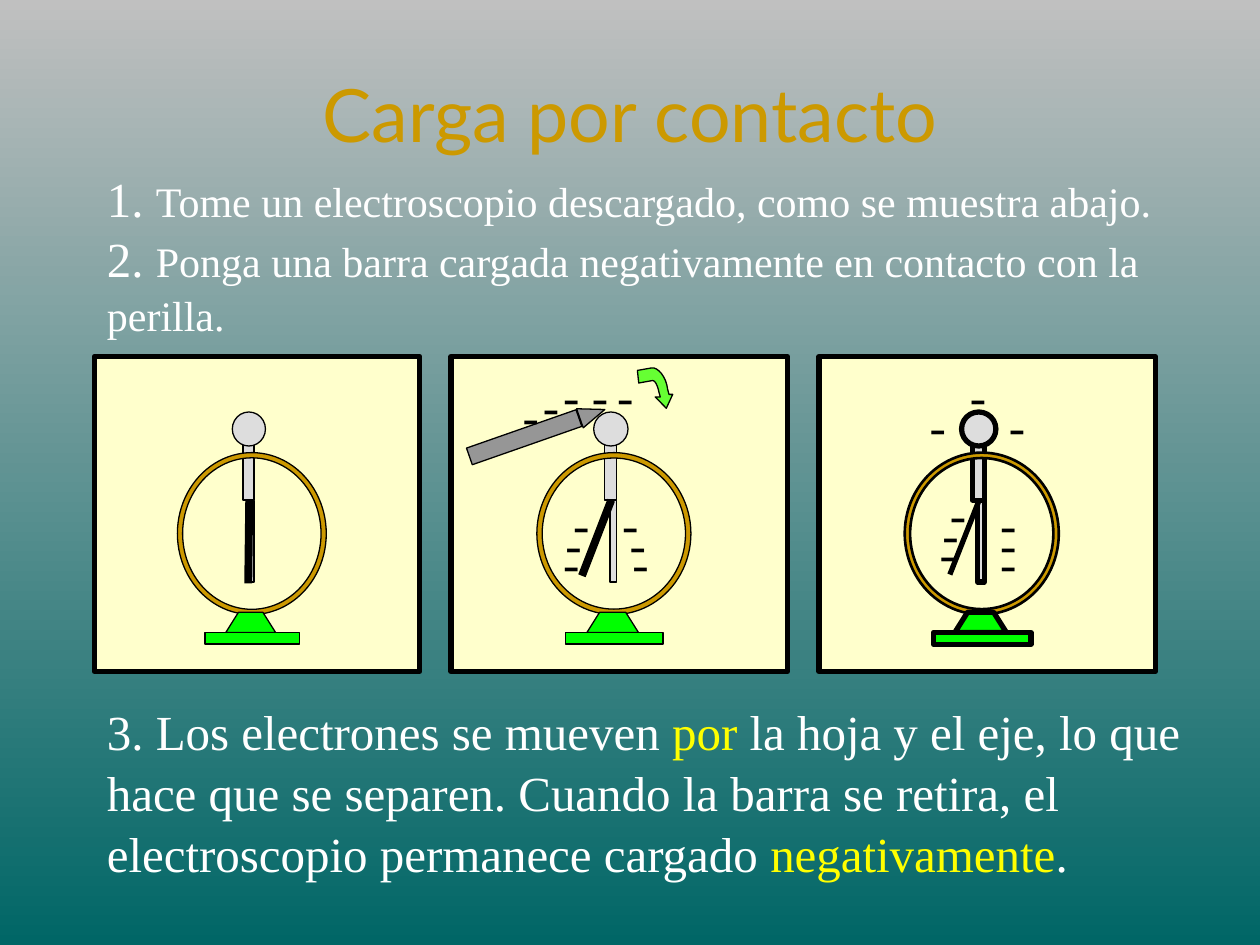
from lxml.etree import SubElement
from pptx import Presentation
from pptx.dml.color import RGBColor
from pptx.enum.shapes import MSO_CONNECTOR, MSO_SHAPE
from pptx.enum.text import MSO_ANCHOR, MSO_AUTO_SIZE, PP_ALIGN
from pptx.oxml.ns import qn
from pptx.util import Inches, Pt

COLORS = {
    "sky": "C0C0C0", "sea": "006666", "gold": "CC9900", "white": "FFFFFF",
    "yellow": "FFFF00", "black": "000000", "cream": "FFFFCC", "metal": "DDDDDD",
    "rod": "969696", "green": "00FF00", "lime": "66FF33",
}
SLIDE_FRAME = (0, 0, 10, 7.5)
PANEL_TOP, PANEL_HEIGHT = 2.83, 2.5
GRID = 100


def color(name):
    return RGBColor.from_string(COLORS[name])


def add_run(paragraph, text, size=28, font="Times New Roman", ink="white"):
    run = paragraph.add_run()
    run.text = text
    run.font.size = Pt(size)
    run.font.name = font
    run.font.color.rgb = color(ink)


def bezier(start, first, second, end, steps=8):
    for step in range(1, steps + 1):
        t = step / steps
        weights = ((1 - t) ** 3, 3 * t * (1 - t) ** 2, 3 * t * t * (1 - t), t ** 3)
        yield tuple(
            sum(weight * point[axis] for weight, point in zip(weights, (start, first, second, end)))
            for axis in (0, 1)
        )


class Canvas:
    def __init__(self, slide):
        self.slide = slide
        self.shapes = slide.shapes
        self.frame = SLIDE_FRAME
        self.weight = 0.75

    def enter(self, frame, weight):
        self.shapes = self.slide.shapes.add_group_shape().shapes
        self.frame = frame
        self.weight = weight

    def leave(self):
        self.shapes = self.slide.shapes
        self.frame = SLIDE_FRAME

    def point(self, column, row):
        left, top, width, height = self.frame
        return Inches(left + width * column / GRID), Inches(top + height * row / GRID)

    def area(self, column, row, columns, rows):
        width, height = self.frame[2:]
        return (*self.point(column, row), Inches(width * columns / GRID), Inches(height * rows / GRID))

    def background(self, top, bottom):
        fill = self.slide.background.fill
        fill.gradient()
        fill.gradient_angle = 270
        for stop, name in zip(fill.gradient_stops, (top, bottom)):
            stop.color.rgb = color(name)

    def paint(self, shape, fill, weight=None):
        shape.shadow.inherit = False
        shape.fill.solid()
        shape.fill.fore_color.rgb = color(fill)
        shape.line.color.rgb = color("black")
        shape.line.width = Pt(weight or self.weight)

    def title(self, text, *cells):
        shape = self.slide.shapes.title
        shape.left, shape.top, shape.width, shape.height = self.area(*cells)
        shape.text_frame.vertical_anchor = MSO_ANCHOR.MIDDLE
        paragraph = shape.text_frame.paragraphs[0]
        paragraph.alignment = PP_ALIGN.CENTER
        paragraph.line_spacing = 0.85
        add_run(paragraph, text, size=42, font="Lato", ink="gold")

    def text(self, runs, *cells, spacing=1.04):
        shape = self.shapes.add_textbox(*self.area(*cells))
        shape.text_frame.word_wrap = True
        shape.text_frame.auto_size = MSO_AUTO_SIZE.SHAPE_TO_FIT_TEXT
        paragraph = shape.text_frame.paragraphs[0]
        paragraph.line_spacing = spacing
        for words, style in runs:
            add_run(paragraph, words, **style)

    def shape(self, kind, fill, *cells, weight=None, rotation=0, adjust=None):
        shape = self.shapes.add_shape(kind, *self.area(*cells))
        shape.rotation = rotation
        if adjust is not None:
            shape.adjustments[0] = adjust
        self.paint(shape, fill, weight)

    def line(self, start, end, weight):
        connector = self.shapes.add_connector(
            MSO_CONNECTOR.STRAIGHT, *self.point(*start), *self.point(*end))
        connector.line.color.rgb = color("black")
        connector.line.width = Pt(weight)
        SubElement(connector._element.spPr, qn("a:effectLst"))

    def outline(self, points, fill):
        start, *others = [self.point(*point) for point in points]
        builder = self.shapes.build_freeform(*start)
        builder.add_line_segments(others, close=True)
        self.paint(builder.convert_to_shape(), fill)

    def electroscope(self, leaf_end, leaf_weight, ring_weight):
        self.shape(MSO_SHAPE.RECTANGLE, "cream", 0, 0, GRID, GRID, weight=3)
        self.shape(MSO_SHAPE.RECTANGLE, "metal", 45.7, 24, 3.4, 21.6)
        self.shape(MSO_SHAPE.OVAL, "metal", 42.4, 17.6, 10.2, 10.8)
        self.shape(MSO_SHAPE.DONUT, "gold", 25.5, 30.5, 45.8, 51.4,
                   weight=ring_weight, adjust=0.035)
        self.shape(MSO_SHAPE.RECTANGLE, "metal", 47.2, 45.6, 1.9, 26)
        self.shape(MSO_SHAPE.TRAPEZOID, "green", 40.4, 81.2, 15.3, 6.4, adjust=0.63)
        self.shape(MSO_SHAPE.RECTANGLE, "green", 34, 87.6, 29, 3.7)
        self.line((47.6, 45.6), leaf_end, leaf_weight)

    def charges(self, places):
        for column, row in places:
            self.text([("-", {"ink": "black"})], column, row, 14.6, 22.8)

    def charged_rod(self):
        self.shape(MSO_SHAPE.RECTANGLE, "rod", 4.5, 22.8, 34.5, 5.6, rotation=-19.3)
        self.shape(MSO_SHAPE.ISOSCELES_TRIANGLE, "rod", 39, 14, 6, 8.4, rotation=70.7)

    def curved_arrow(self):
        outer = bezier((64.4, 10.4), (64, 6.4), (61.4, 3.2), (59.6, 3.6))
        inner = bezier((59.9, 7.6), (60.7, 7.6), (61.4, 9.2), (61.8, 11.2))
        self.outline(
            [(64, 16.4), (65.9, 12), (64.8, 12), (64.4, 10.4), *outer,
             (55.4, 4.4), (55.8, 8.4), (59.9, 7.6), *inner, (62.2, 12.8), (60.7, 12.8)],
            "lime")


PANELS = [
    {"left": 0.75, "width": 2.58, "weight": 0.75, "ring": 0.75,
     "leaf": (47.3, 72), "leaf_weight": 4.5, "charges": []},
    {"left": 3.58, "width": 2.67, "weight": 0.75, "ring": 0.75,
     "leaf": (38.9, 69.6), "leaf_weight": 4.5, "rod": True,
     "charges": [(32.6, 40.8), (30.3, 47.2), (29.6, 53.2),
                 (47.2, 40.8), (49.4, 47.2), (50.2, 53.2),
                 (17.6, 6.4), (23.6, 3.2), (29.6, 0), (38.2, 0), (45.7, 0)]},
    {"left": 6.5, "width": 2.67, "weight": 3, "ring": 1.5,
     "leaf": (38.9, 69.2), "leaf_weight": 3,
     "charges": [(35.2, 37.6), (33, 44), (32.2, 50),
                 (50.2, 40.8), (50.2, 47.2), (50.2, 53.2),
                 (29.2, 9.6), (41.2, 0), (52.8, 9.6)]},
]

STEPS = [
    ((7.5, 16.93, 89.2, 7.6), [
        ("1. ", {}),
        ("Tome un electroscopio descargado, como se muestra abajo.", {"size": 24})]),
    ((7.5, 23.33, 92.5, 12.93), [
        ("2. ", {}),
        ("Ponga una barra cargada negativamente en contacto con la perilla.", {"size": 24})]),
    ((7.5, 73.33, 92.5, 20), [
        ("3. Los electrones se mueven ", {}),
        ("por", {"ink": "yellow"}),
        (" la hoja y el eje, lo que hace que se separen. Cuando la barra se retira, "
         "el electroscopio permanece cargado ", {}),
        ("negativamente", {"ink": "yellow"}),
        (".", {})]),
]


def main():
    presentation = Presentation()
    presentation.slide_width, presentation.slide_height = Inches(10), Inches(7.5)
    canvas = Canvas(presentation.slides.add_slide(presentation.slide_layouts[5]))
    canvas.background("sky", "sea")
    canvas.title("Carga por contacto", 10, 4.4, 80, 16.67)
    for cells, runs in STEPS:
        canvas.text(runs, *cells)
    for panel in PANELS:
        canvas.enter((panel["left"], PANEL_TOP, panel["width"], PANEL_HEIGHT), panel["weight"])
        canvas.electroscope(panel["leaf"], panel["leaf_weight"], panel["ring"])
        if panel.get("rod"):
            canvas.charged_rod()
            canvas.curved_arrow()
        canvas.charges(panel["charges"])
        canvas.leave()
    presentation.save("out.pptx")


if __name__ == "__main__":
    main()
